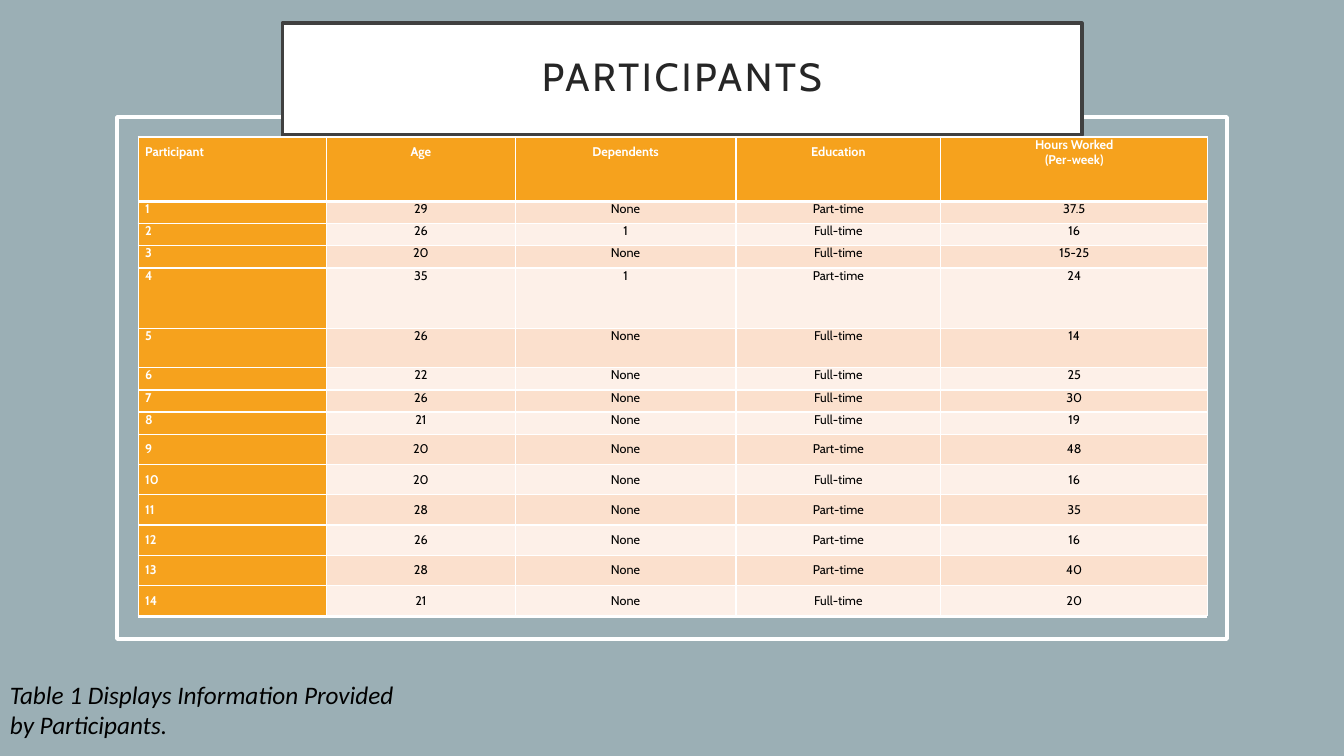
from lxml import etree
from pptx import Presentation, util as u
from pptx.dml.color import RGBColor
from pptx.enum import shapes, text
from pptx.oxml.ns import qn

WHITE, BLACK, ORANGE = "FFFFFF", "000000", "F6A21D"
BANDS = ["FBE0CD", "FDF0E8"]

deck = Presentation()
deck.slide_width, deck.slide_height = u.Inches(13.33), u.Inches(7.5)
slide = deck.slides.add_slide(deck.slide_layouts[6])


def panel(left, top, width, height, fill=None, line=None):
    """Add a rectangle, lengths in inches, with an optional fill and outline."""
    box = slide.shapes.add_shape(shapes.MSO_SHAPE.RECTANGLE, *map(u.Inches, (left, top, width, height)))
    box.shadow.inherit = False
    if fill:
        box.fill.solid()
        box.fill.fore_color.rgb = RGBColor.from_string(fill)
    else:
        box.fill.background()
    if line:
        box.line.color.rgb = RGBColor.from_string(line)
        box.line.width = u.Pt(2.5)
    else:
        box.line.fill.background()
    return box


def write(paragraph, words, size, font, color, bold=False, italic=False):
    """Add one formatted run to a paragraph and return it."""
    run = paragraph.add_run()
    run.text = words
    run.font.size, run.font.name = u.Pt(size), font
    run.font.bold, run.font.italic = bold, italic
    run.font.color.rgb = RGBColor.from_string(color)
    return run


# Backdrop, table frame and title
panel(0, 0, 13.33, 7.5, fill="9BAFB5")
panel(1.37, 1.36, 10.6, 4.77, fill=WHITE)
panel(1.16, 1.16, 11.01, 5.18, line=WHITE)
title = panel(2.8, 0.23, 7.93, 1.11, fill=WHITE, line="404040").text_frame
title.margin_left = title.margin_right = title.margin_top = title.margin_bottom = u.Inches(0.2)
title.word_wrap = True
title.vertical_anchor = text.MSO_ANCHOR.MIDDLE
heading = title.paragraphs[0]
heading.alignment = text.PP_ALIGN.CENTER
heading.line_spacing = 0.9
letters = write(heading, "PARTICIPANTS", 28, "Cabin", "262626")
letters.font._element.set("spc", "200")

# Participant table
headers = ["Participant", "Age", "Dependents", "Education", "Hours Worked\n(Per-week)"]
people = [
    ("29", "None", "Part-time", "37.5"),
    ("26", "1", "Full-time", "16"),
    ("20", "None", "Full-time", "15-25"),
    ("35", "1", "Part-time", "24"),
    ("26", "None", "Full-time", "14"),
    ("22", "None", "Full-time", "25"),
    ("26", "None", "Full-time", "30"),
    ("21", "None", "Full-time", "19"),
    ("20", "None", "Part-time", "48"),
    ("20", "None", "Full-time", "16"),
    ("28", "None", "Part-time", "35"),
    ("26", "None", "Part-time", "16"),
    ("28", "None", "Part-time", "40"),
    ("21", "None", "Full-time", "20"),
]
records = [headers] + [(str(number), *person) for number, person in enumerate(people, 1)]
column_widths = [1.87, 1.87, 2.19, 2.03, 2.65]
row_heights = [0.64] + [0.22] * 3 + [0.6, 0.39] + [0.22] * 3 + [0.3] * 6
first_airy_row = 9

participants = slide.shapes.add_table(
    len(records), len(headers), *map(u.Inches, (1.37, 1.36, 10.6, 4.77))).table
for column, width in zip(participants.columns, column_widths):
    column.width = u.Inches(width)
for row, height in zip(participants.rows, row_heights):
    row.height = u.Inches(height)

for r, record in enumerate(records):
    for c, entry in enumerate(record):
        cell = participants.cell(r, c)
        is_label = r == 0 or c == 0
        cell.margin_left = cell.margin_right = u.Inches(0.07)
        cell.margin_top = cell.margin_bottom = 0
        lines = entry.split("\n")
        for i, words in enumerate(lines):
            paragraph = cell.text_frame.add_paragraph() if i else cell.text_frame.paragraphs[0]
            if c:
                paragraph.alignment = text.PP_ALIGN.CENTER
            if (r == 0 or r >= first_airy_row) and len(lines) == 1:
                paragraph.line_spacing = 1.5
            write(paragraph, words, 9, "Cabin", WHITE if is_label else BLACK, bold=is_label)
        # Borders come before the fill in the cell properties
        properties = cell._tc.get_or_add_tcPr()
        for side in ("lnL", "lnR", "lnT", "lnB"):
            heavy = (r == 0 and side == "lnB") or (r == 1 and side == "lnT")
            border = etree.SubElement(properties, qn("a:" + side), w=str(u.Pt(3 if heavy else 1)))
            paint = etree.SubElement(border, qn("a:solidFill"))
            etree.SubElement(paint, qn("a:srgbClr"), val=WHITE)
        cell.fill.solid()
        cell.fill.fore_color.rgb = RGBColor.from_string(ORANGE if is_label else BANDS[(r - 1) % 2])

# Caption
caption = slide.shapes.add_textbox(*map(u.Inches, (0, 6.68, 4.19, 0.71))).text_frame
caption.word_wrap = True
caption.vertical_anchor = text.MSO_ANCHOR.MIDDLE
write(caption.paragraphs[0], "Table 1 Displays Information Provided by Participants.",
      18, "Calibri", BLACK, italic=True)

deck.save("out.pptx")
